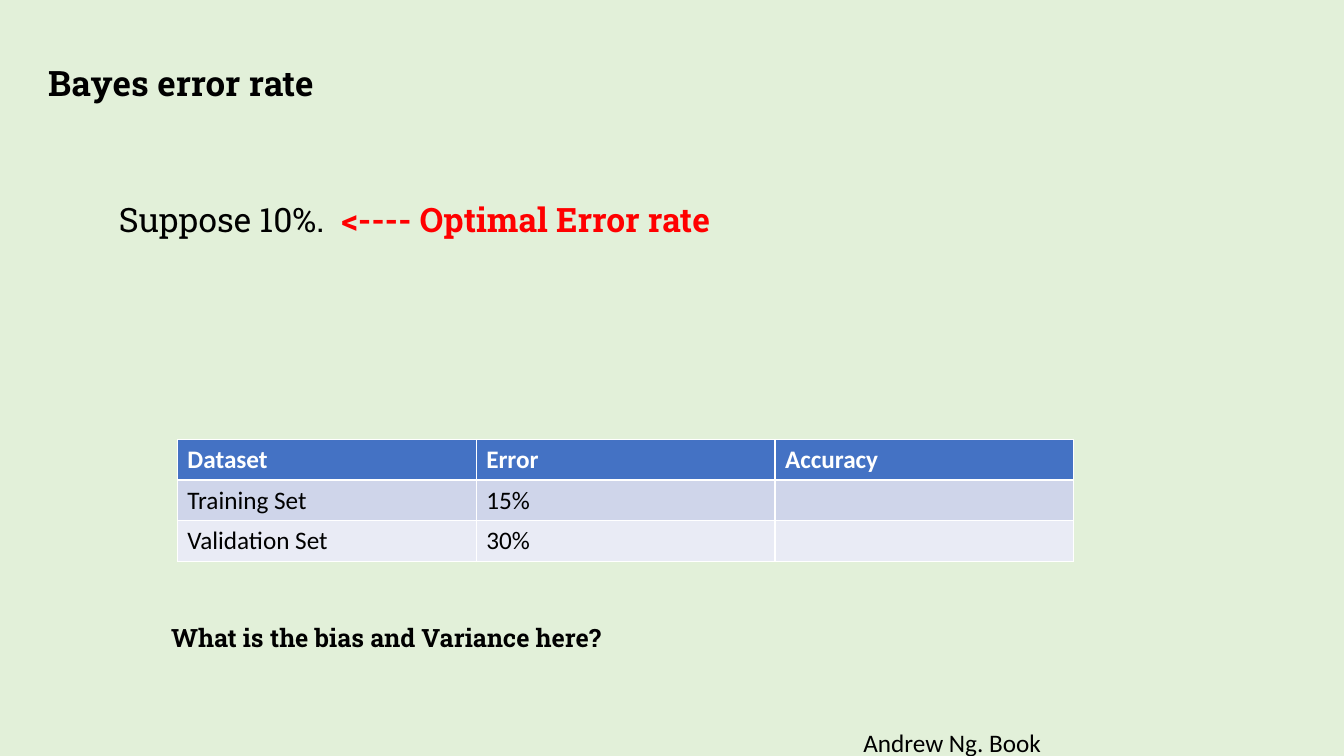
from pptx import Presentation
from pptx.dml.color import RGBColor
from pptx.enum.text import MSO_AUTO_SIZE
from pptx.util import Inches, Pt

FIT_SHAPE = MSO_AUTO_SIZE.SHAPE_TO_FIT_TEXT
COLORS = {
    "background": "E2F0D9",
    "ink": "000000",
    "highlight": "FF0000",
    "header": "4472C4",
    "header_ink": "FFFFFF",
    "odd_row": "CFD5EA",
    "even_row": "E9EBF5",
}
HEADING_FONT, BODY_FONT = "Roboto Slab", "Calibri"

deck = Presentation()
deck.slide_width, deck.slide_height = Inches(13.33), Inches(7.5)
WIDTH, HEIGHT = deck.slide_width, deck.slide_height
slide = deck.slides.add_slide(deck.slide_layouts[6])
slide.background.fill.solid()
slide.background.fill.fore_color.rgb = RGBColor.from_string(COLORS["background"])


def write(paragraph, text, size=18, font=HEADING_FONT, color="ink", bold=False):
    run = paragraph.add_run()
    run.text = text
    run.font.size = Pt(size)
    run.font.name = font
    run.font.bold = bold
    run.font.color.rgb = RGBColor.from_string(COLORS[color])


statements = [
    ((0.081, 0.256, 0.819, 0.067),
     [("Suppose 10%.  ", dict(size=24)),
      ("<---- Optimal Error rate", dict(size=24, color="highlight", bold=True))]),
    ((0.0285, 0.075, 0.478, 0.069),
     [("Bayes error rate", dict(size=25, bold=True))]),
    ((0.12, 0.817, 0.606, 0.053),
     [("What is the bias and Variance here?", dict(bold=True))]),
    ((0.635, 0.956, 0.245, 0.053),
     [("Andrew Ng. Book", dict(font=BODY_FONT))]),
]
for (left, top, width, height), phrases in statements:
    statement = slide.shapes.add_textbox(
        int(left * WIDTH), int(top * HEIGHT), int(width * WIDTH), int(height * HEIGHT))
    frame = statement.text_frame
    frame.word_wrap = True
    frame.auto_size = FIT_SHAPE
    for text, style in phrases:
        write(frame.paragraphs[0], text, **style)

results = [
    ("Dataset", "Error", "Accuracy"),
    ("Training Set", "15%", ""),
    ("Validation Set", "30%", ""),
]
row_fills = ["header", "odd_row", "even_row"]
error_table = slide.shapes.add_table(
    len(results), len(results[0]),
    int(0.132 * WIDTH), int(0.581 * HEIGHT),
    int(0.667 * WIDTH), int(0.162 * HEIGHT)).table
for row, (values, fill) in enumerate(zip(results, row_fills)):
    is_header = row == 0
    for column, value in enumerate(values):
        cell = error_table.cell(row, column)
        cell.fill.solid()
        cell.fill.fore_color.rgb = RGBColor.from_string(COLORS[fill])
        if value:
            write(cell.text_frame.paragraphs[0], value, font=BODY_FONT,
                  color="header_ink" if is_header else "ink", bold=is_header)

deck.save("out.pptx")
